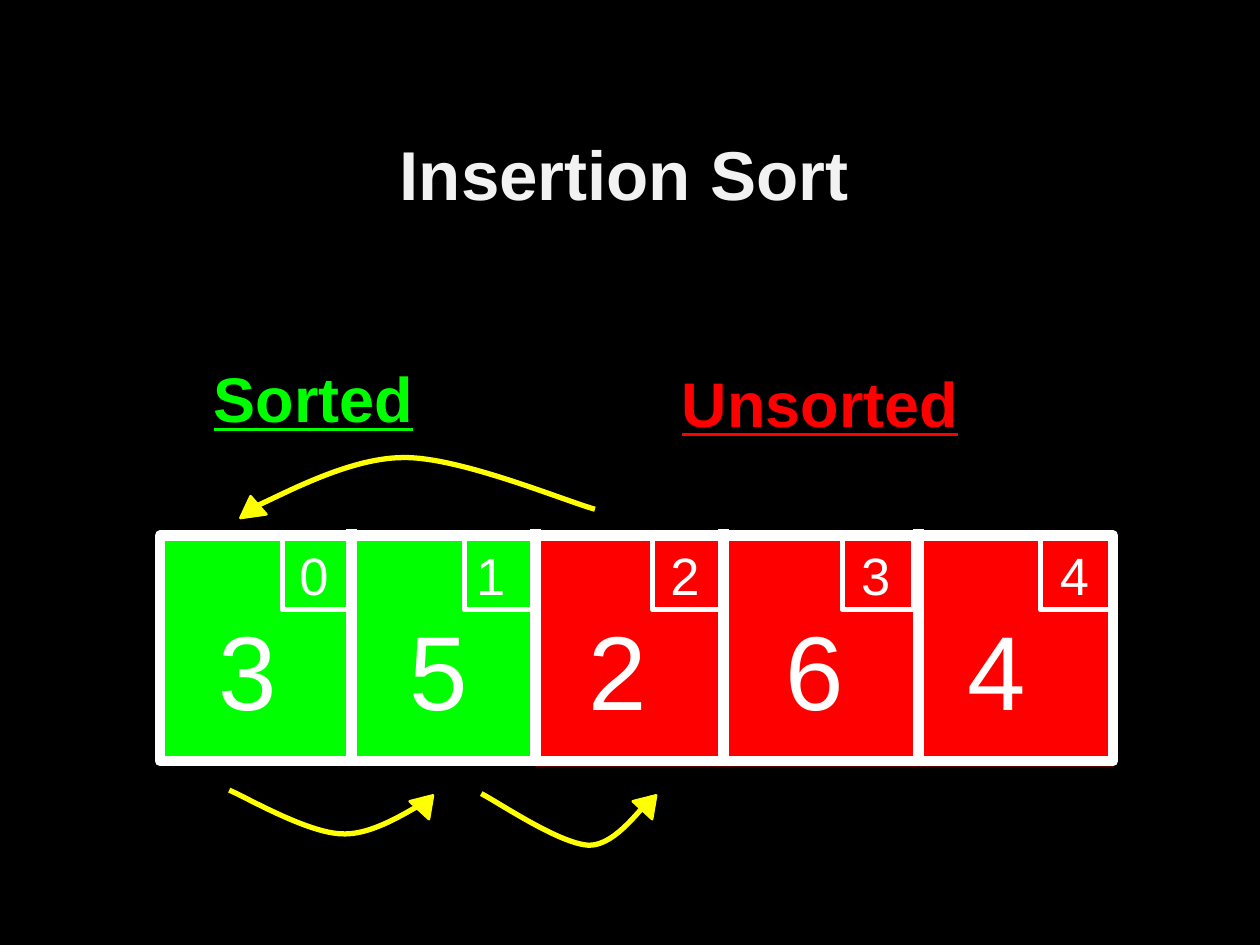
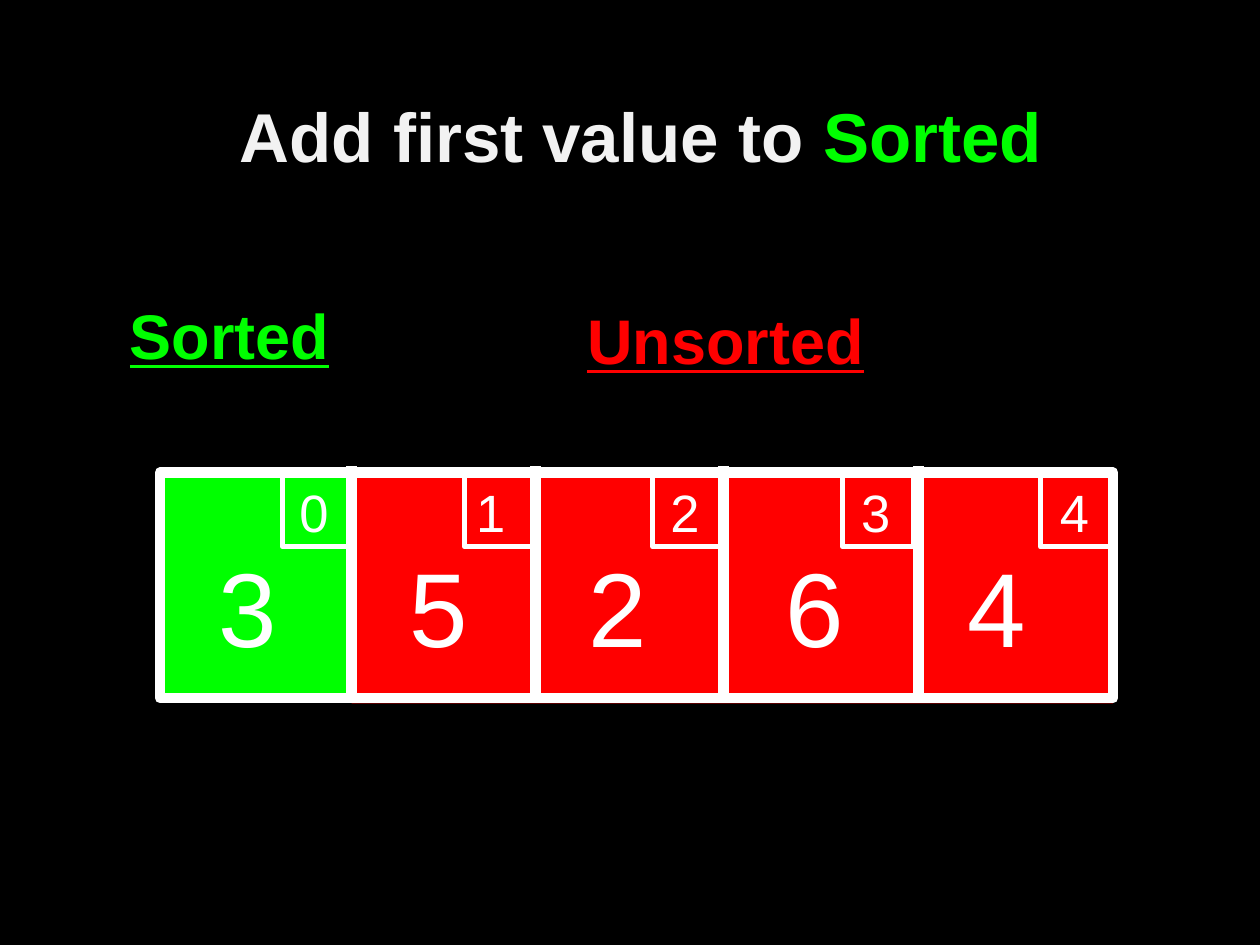
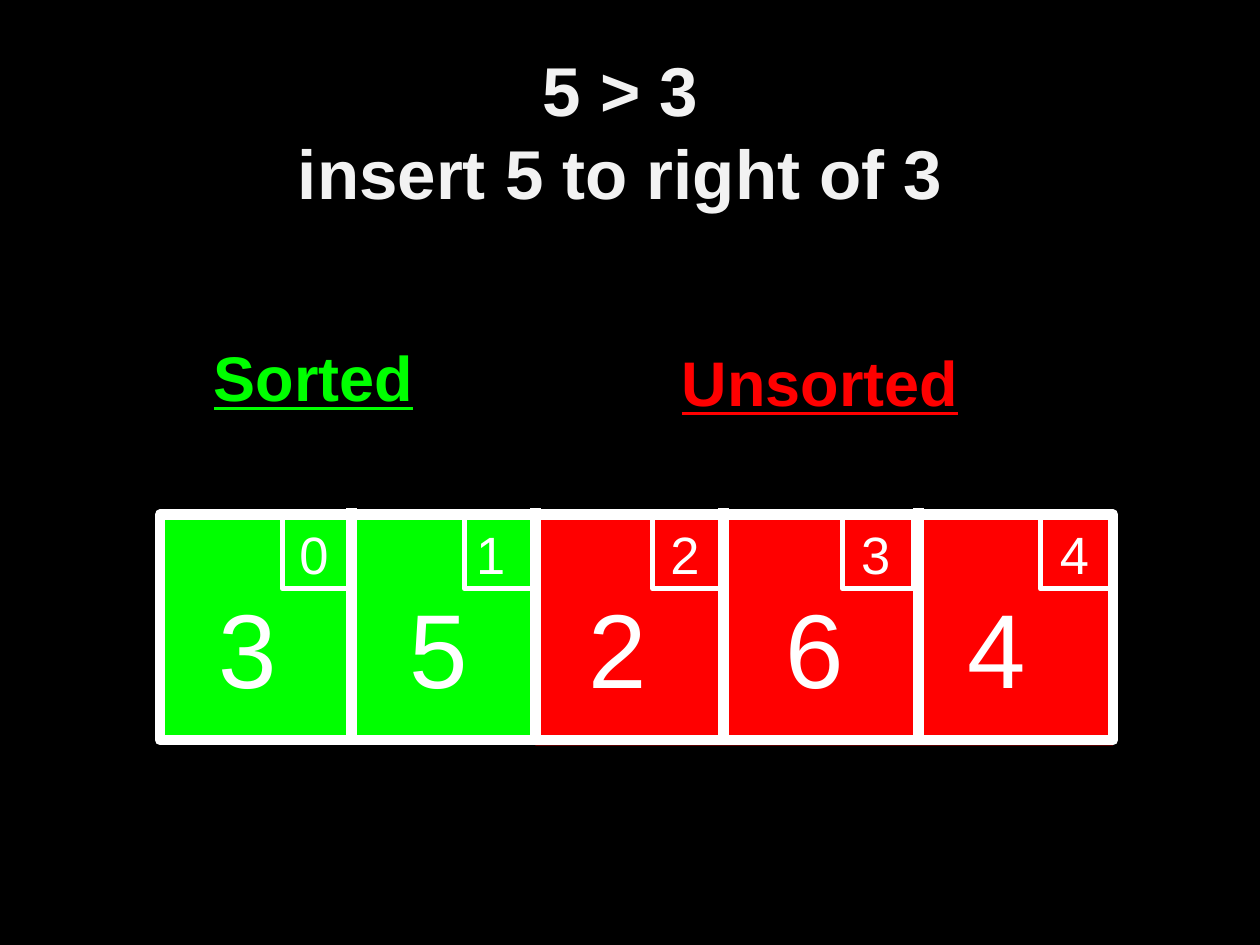
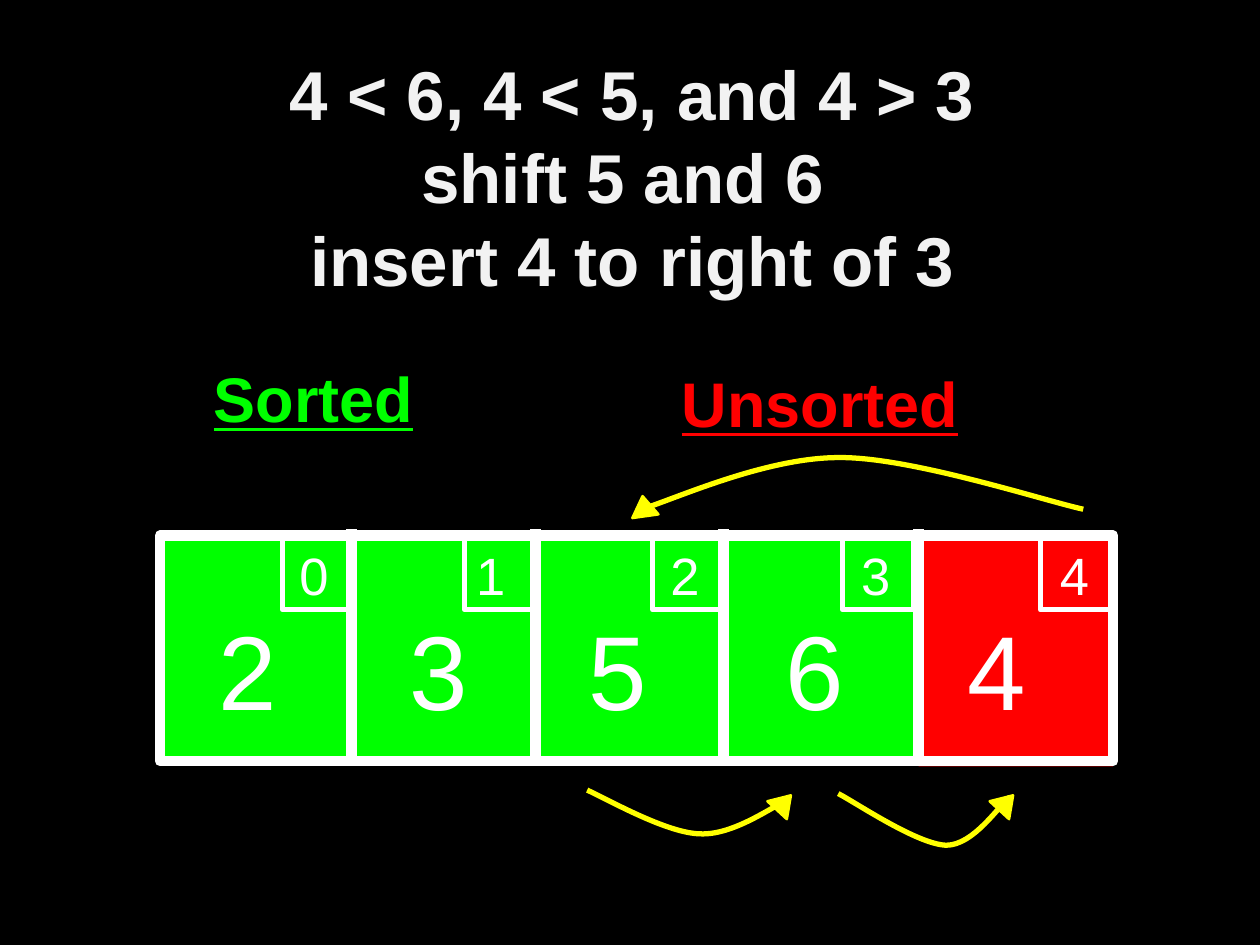
"""Build four slides that explain insertion sort on a five-cell array."""
from lxml import etree
from pptx import Presentation
from pptx.dml.color import RGBColor
from pptx.enum import shapes, text
from pptx.oxml import ns
from pptx.util import Pt

COLOURS = {"back": "000000", "title": "F2F2F2", "white": "FFFFFF",
           "sorted": "00FF00", "unsorted": "FF0000", "arrow": "FFFF00"}
RECTANGLE = shapes.MSO_SHAPE.RECTANGLE
TITLE_FONT = {"name": "Arial", "size": Pt(39.5), "bold": True}
LABEL_FONT = {"name": "Arial", "size": Pt(36), "bold": True, "underline": True}
VALUE_FONT = {"name": "Arial", "size": Pt(60)}
INDEX_FONT = {"name": "Arial", "size": Pt(30)}
CENTRED = {"word_wrap": True, "auto_size": text.MSO_AUTO_SIZE.NONE,
           "vertical_anchor": text.MSO_ANCHOR.MIDDLE,
           "margin_left": Pt(7.2), "margin_right": Pt(7.2),
           "margin_top": Pt(3.6), "margin_bottom": Pt(3.6)}
DIGIT = {"word_wrap": True, "margin_left": Pt(7.2), "margin_right": Pt(7.2),
         "margin_top": Pt(7.2), "margin_bottom": Pt(7.2)}

ARRAY_LEFT, ARRAY_RIGHT, ARRAY_HEIGHT = 91.5, 636, 129
# Each cell: right edge, index frame left, index digit left, value left
CELLS = [(201, 161.5, 164, 117.5), (306, 265.5, 265, 227), (413.5, 373, 376, 329),
         (525, 481.5, 485, 441.5), (ARRAY_RIGHT, 594.5, 598.5, 546)]

# Each arc: x as shares of its width, y in points, then head offset, top and turn
ARCS = {
    "insert": ((1, 0.91, 0.61, 0.45, 0.28, 0.07, 0),
               (291, 286, 261, 261.5, 261.5, 286.5, 291.5), -4.5, 283.5, 352),
    "shift": ((0, 0.09, 0.39, 0.56, 0.73, 0.93, 1),
              (451.5, 456, 476, 476.5, 477.5, 460, 457), 105, 453, 42.8),
    "shift last": ((0, 0.1, 0.46, 0.63, 0.79, 0.94, 1),
                   (453.5, 458.5, 482.5, 483, 483, 460, 455.5), 88.5, 453, 42.8),
}

SLIDES = [
    {"title": [[("Insertion Sort", "title")]],
     "title_at": (60, 30, 593.5, 137.5), "title_bottom": 3.6,
     "array_top": 306, "values": "35264", "sorted": 2, "labels": (21.5, 294.5),
     "arcs": [("insert", 141, 199), ("shift", 131, 115), ("shift last", 275, 98)]},
    {"title": [[("Add first value to ", "title"), ("Sorted ", "sorted")]],
     "title_at": (118, 58.5, 507.5, 87), "title_bottom": 54,
     "array_top": 270, "values": "35264", "sorted": 1, "labels": (-26.5, 240.5),
     "arcs": []},
    {"title": [[("5 > 3 ", "title")], [("insert 5 to right of 3 ", "title")]],
     "title_at": (69, 56, 582, 87), "title_bottom": 54,
     "array_top": 294, "values": "35264", "sorted": 2, "labels": (21.5, 294.5),
     "arcs": []},
    {"title": [[("4 < 6, 4 < 5, and 4 > 3", "title")], [("shift 5 and 6 ", "title")],
               [("insert 4 to right of 3", "title")]],
     "title_at": (70.5, 82, 582, 87), "title_bottom": 54,
     "array_top": 306, "values": "23564", "sorted": 4, "labels": (21.5, 294.5),
     "arcs": [("insert", 365, 254), ("shift", 335.5, 115), ("shift last", 479, 98)]},
]


def write(box, lines, frame_format, font_format, align=text.PP_ALIGN.LEFT):
    frame = box.text_frame
    for name, value in frame_format.items():
        setattr(frame, name, value)
    for number, line in enumerate(lines):
        para = frame.add_paragraph() if number else frame.paragraphs[0]
        para.alignment = align
        for words, colour in line:
            span = para.add_run()
            span.text = words
            for name, value in font_format.items():
                setattr(span.font, name, value)
            span.font.color.rgb = RGBColor.from_string(COLOURS[colour])


def paint(shape, fill=None, line=None, width=0):
    shape.shadow.inherit = False
    for target, colour in ((shape.fill, fill), (shape.line.fill, line)):
        if colour:
            target.solid()
            target.fore_color.rgb = RGBColor.from_string(COLOURS[colour])
        else:
            target.background()
    if line:
        shape.line.width = Pt(width)


deck = Presentation()
deck.slide_width, deck.slide_height = Pt(720), Pt(540)
backdrop = deck.slide_master.background.fill
backdrop.solid()
backdrop.fore_color.rgb = RGBColor.from_string(COLOURS["back"])

for content in SLIDES:
    page = deck.slides.add_slide(deck.slide_layouts[5])
    top = content["array_top"]

    title = page.shapes.title
    title.left, title.top, title.width, title.height = map(Pt, content["title_at"])
    write(title, content["title"], CENTRED | {"margin_bottom": Pt(content["title_bottom"])},
          TITLE_FONT, text.PP_ALIGN.CENTER)

    split = CELLS[content["sorted"] - 1][0]
    for colour, left, right, drop, height in (
            ("sorted", ARRAY_LEFT, split, -1, 131),
            ("unsorted", split, ARRAY_RIGHT, 3, ARRAY_HEIGHT)):
        band = page.shapes.add_shape(RECTANGLE, Pt(left), Pt(top + drop),
                                     Pt(right - left), Pt(height))
        paint(band, fill=colour)
    outline = page.shapes.add_shape(RECTANGLE, Pt(ARRAY_LEFT), Pt(top),
                                    Pt(ARRAY_RIGHT - ARRAY_LEFT), Pt(ARRAY_HEIGHT))
    paint(outline, line="white", width=6)

    for index, (edge, frame_left, index_left, value_left) in enumerate(CELLS):
        if edge < ARRAY_RIGHT:
            divider = page.shapes.add_connector(shapes.MSO_CONNECTOR.STRAIGHT, Pt(edge),
                                                Pt(top - 3.5), Pt(edge), Pt(top + 127.5))
            divider.line.width = Pt(6)
            divider.line.color.rgb = RGBColor.from_string(COLOURS["white"])
            etree.SubElement(divider._element.spPr, ns.qn("a:effectLst"))
        index_frame = page.shapes.add_shape(RECTANGLE, Pt(frame_left), Pt(top - 0.5),
                                            Pt(40.5), Pt(43))
        paint(index_frame, line="white", width=3)
        index_box = page.shapes.add_textbox(Pt(index_left), Pt(top - 3), Pt(34.5), Pt(47))
        write(index_box, [[(str(index), "white")]], DIGIT, INDEX_FONT)
        value_box = page.shapes.add_textbox(Pt(value_left), Pt(top + 32.5), Pt(65), Pt(81.5))
        write(value_box, [[(content["values"][index], "white")]], DIGIT, VALUE_FONT)

    sorted_left, unsorted_left = content["labels"]
    for words, left, drop, height, margin in (
            ("Unsorted", unsorted_left, -151, 150, 7.2),
            ("Sorted", sorted_left, -147.5, 137.5, 39.7)):
        label = page.shapes.add_textbox(Pt(left), Pt(top + drop), Pt(348), Pt(height))
        write(label, [[(words, words.lower())]], CENTRED | {"margin_right": Pt(margin)},
              LABEL_FONT, text.PP_ALIGN.CENTER)

    for kind, left, width in content["arcs"]:
        shares, heights, head_offset, head_top, turn = ARCS[kind]
        points = [(Pt(left + share * width), Pt(y)) for share, y in zip(shares, heights)]
        builder = page.shapes.build_freeform(*points[0])
        builder.add_line_segments(points[1:], close=False)
        arc = builder.convert_to_shape()
        segments = list(arc._element.iter(ns.qn("a:lnTo")))
        outline_path = segments[0].getparent()
        for start in range(0, len(segments), 3):
            curve = etree.SubElement(outline_path, ns.qn("a:cubicBezTo"))
            for segment in segments[start:start + 3]:
                curve.append(segment[0])
                outline_path.remove(segment)
        paint(arc, line="arrow", width=3)
        head = page.shapes.add_shape(shapes.MSO_SHAPE.ISOSCELES_TRIANGLE,
                                     Pt(left + head_offset), Pt(head_top), Pt(15), Pt(11.5))
        head.rotation = turn
        paint(head, fill="arrow", line="arrow", width=1.5)

deck.save("out.pptx")
